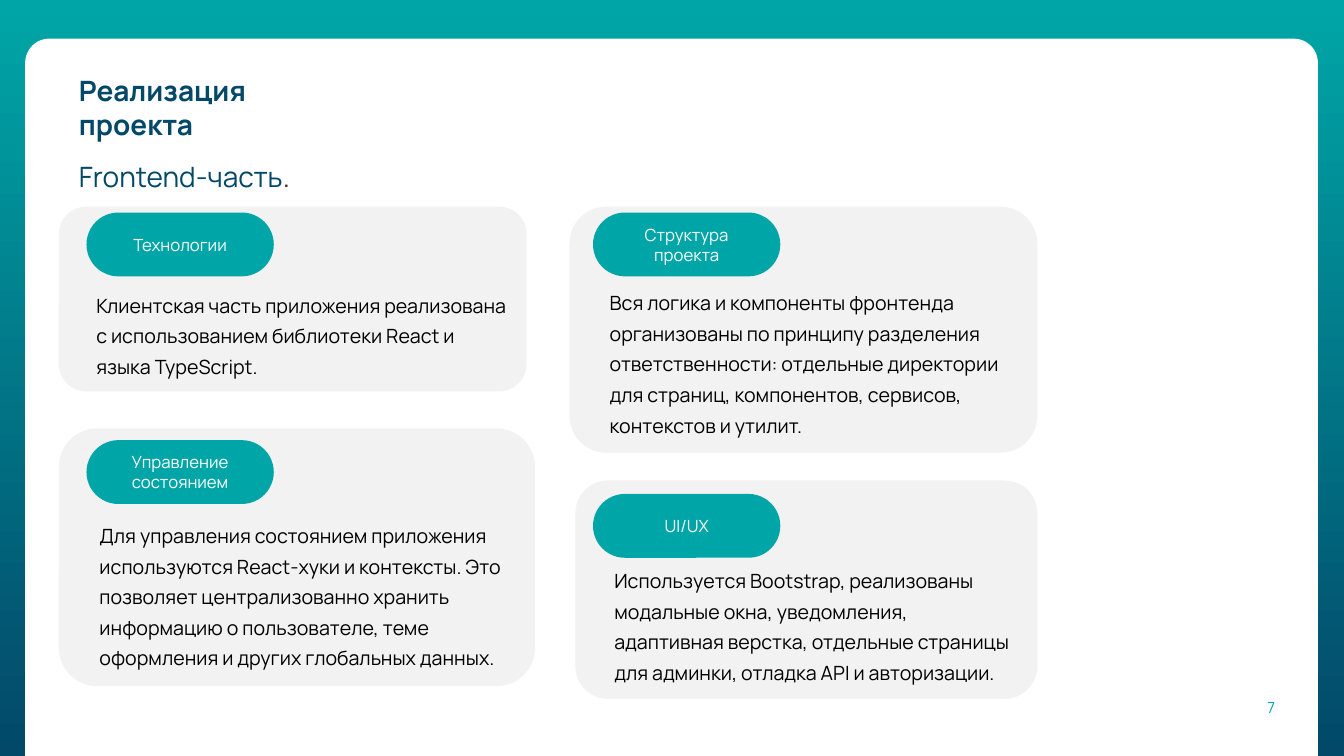
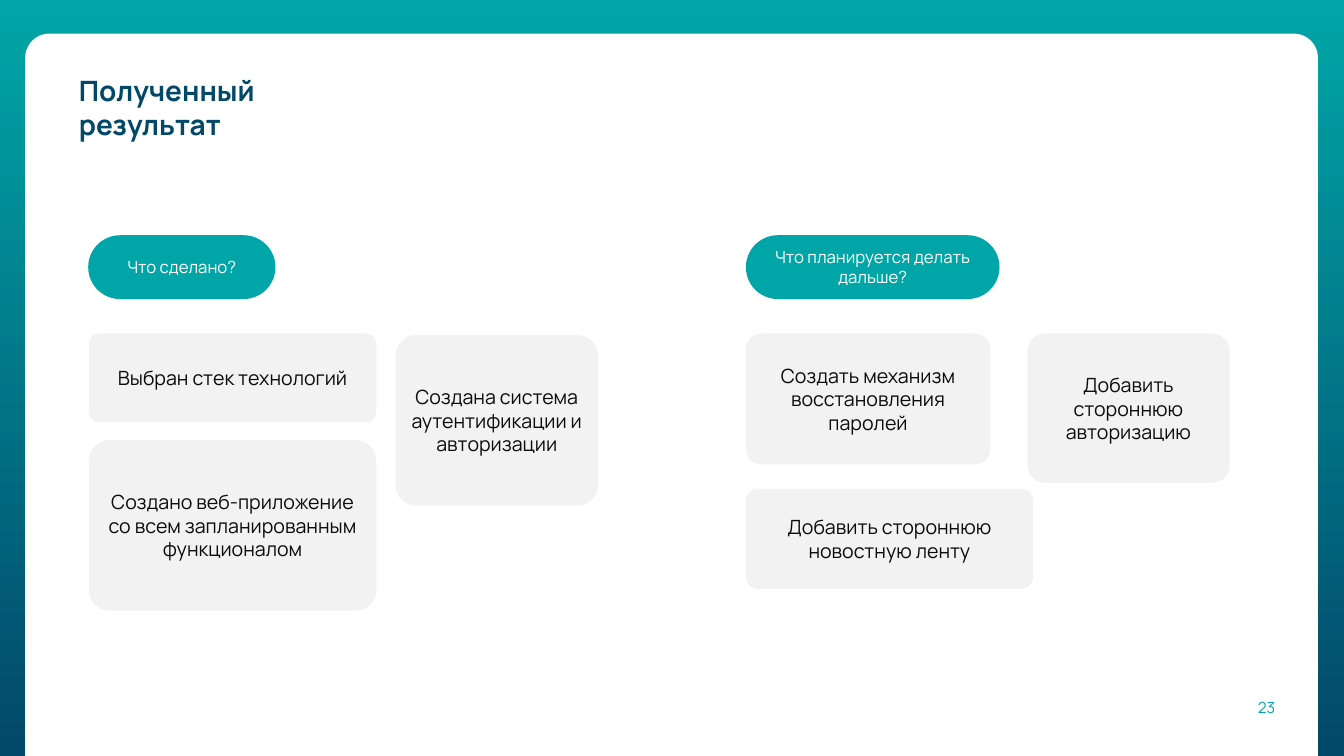
from dataclasses import dataclass

from pptx import Presentation
from pptx.dml.color import RGBColor
from pptx.enum.shapes import MSO_SHAPE
from pptx.enum.text import MSO_ANCHOR, PP_ALIGN
from pptx.util import Inches, Pt


@dataclass(frozen=True)
class Theme:
    """Colours, type sizes and corner roundings of the deck."""
    face: str = "Manrope"
    teal: str = "00A6A7"
    navy: str = "024869"
    white: str = "FFFFFF"
    grey: str = "F2F2F2"
    black: str = "000000"
    ink: str = "0C0C0C"
    dot: str = "333333"
    head: int = 20
    body: int = 14
    label: int = 12
    small: int = 11
    lead: float = 1.3
    panel: float = 0.03
    card: float = 0.15
    tile: float = 0.12
    pill: float = 0.5


class Deck:
    """Draws styled elements on a grid of 160 columns by 90 rows."""

    def __init__(self, theme):
        """Start an empty deck."""
        self.look = theme
        self.unit = Inches(1) // 12
        self.show = Presentation()
        self.show.slide_width = 160 * self.unit
        self.show.slide_height = 90 * self.unit
        self.page = None

    def grid(self, *cells):
        """Turn grid cells into lengths."""
        return [round(cell * self.unit) for cell in cells]

    def begin(self, title, number, top):
        """Add a slide with its backdrop, panel, title and number."""
        look = self.look
        self.page = self.show.slides.add_slide(self.show.slide_layouts[6])
        fill = self.page.background.fill
        fill.gradient()
        fill.gradient_angle = 270
        for stop, tint in zip(fill.gradient_stops, (look.teal, look.navy)):
            stop.color.rgb = RGBColor.from_string(tint)
        self.block((3, top, 153.9, 95.9), look.white, look.panel)
        self.label((8.2, 8.2, 35.6, 9), [(title, look.navy)], look.head, bold=True)
        self.label((117, 81.8, 36, 4.8), [(number, look.teal)], look.small,
                   {"vertical_anchor": MSO_ANCHOR.MIDDLE},
                   {"alignment": PP_ALIGN.RIGHT})

    def block(self, box, tint, curve):
        """Add a plain rounded block."""
        shape = self.page.shapes.add_shape(
            MSO_SHAPE.ROUNDED_RECTANGLE, *self.grid(*box))
        shape.adjustments[0] = curve
        shape.shadow.inherit = False
        shape.fill.solid()
        shape.fill.fore_color.rgb = RGBColor.from_string(tint)
        shape.line.fill.background()
        return shape

    def letter(self, shape, runs, size, frame=None, para=None, bold=False):
        """Fill a shape with one paragraph of coloured runs."""
        area = shape.text_frame
        line = area.paragraphs[0]
        formats = [
            (area, {"word_wrap": True, "vertical_anchor": MSO_ANCHOR.TOP,
                    **(frame or {})}),
            (line, {"alignment": PP_ALIGN.LEFT, **(para or {})}),
        ]
        for words, tint in runs:
            run = line.add_run()
            run.text = words
            run.font.color.rgb = RGBColor.from_string(tint)
            formats.append((run.font, {"name": self.look.face,
                                       "size": Pt(size), "bold": bold}))
        for item, values in formats:
            for name, value in values.items():
                setattr(item, name, value)

    def label(self, box, runs, size, frame=None, para=None, bold=False):
        """Add a text box."""
        shape = self.page.shapes.add_textbox(*self.grid(*box))
        self.letter(shape, runs, size, frame, para, bold)

    def lead(self, words):
        """Add the subtitle with its grey full stop."""
        look = self.look
        self.label((8.2, 17.2, 35.6, 6.5), [(words, look.navy), (".", look.dot)],
                   look.head, para={"line_spacing": look.lead})

    def center(self, shape, words, tint, size):
        """Set centred words in a block."""
        self.letter(shape, [(words, tint)], size,
                    {"vertical_anchor": MSO_ANCHOR.MIDDLE},
                    {"alignment": PP_ALIGN.CENTER})

    def pill(self, left, top, words, width=22.3):
        """Add a teal label."""
        look = self.look
        shape = self.block((left, top, width, 7.6), look.teal, look.pill)
        self.center(shape, words, look.white, look.label)

    def tile(self, box, words):
        """Add a grey tile with centred words."""
        look = self.look
        shape = self.block(box, look.grey, look.tile)
        self.center(shape, words, look.ink, look.body)

    def card(self, box, words):
        """Add a grey card with its text at the foot."""
        look = self.look
        shape = self.block(box, look.grey, look.card)
        self.letter(shape, [(words, look.black)], look.body,
                    {"vertical_anchor": MSO_ANCHOR.BOTTOM,
                     "margin_left": self.grid(3.5)[0]},
                    {"line_spacing": look.lead})


def build(deck):
    """Draw both slides."""
    deck.begin("Реализация проекта", "7", 4.6)
    deck.lead("Frontend-часть")
    left, right = 10.3, 70.6
    cards = [
        ((7, 24.6, 55.7, 22), left, 25.3, "Технологии",
         "Клиентская часть приложения реализована с использованием "
         "библиотеки React и языка TypeScript."),
        ((67.8, 24.6, 55.7, 29.3), right, 25.3, "Структура проекта",
         "Вся логика и компоненты фронтенда организованы по принципу "
         "разделения ответственности: отдельные директории для страниц, "
         "компонентов, сервисов, контекстов и утилит."),
        ((7, 51, 56.7, 30.7), left, 52.4, "Управление состоянием",
         "Для управления состоянием приложения используются React-хуки "
         "и контексты. Это позволяет централизованно хранить информацию "
         "о пользователе, теме оформления и других глобальных данных."),
        ((68.5, 57.2, 55, 26), right, 58.8, "UI/UX",
         "Используется Bootstrap, реализованы модальные окна, уведомления, "
         "адаптивная верстка, отдельные страницы для админки, отладка API "
         "и авторизации."),
    ]
    for box, side, top, label, words in cards:
        deck.card(box, words)
        deck.pill(side, top, label)

    deck.begin("Полученный результат", "23", 4)
    done, plan, top = 10.6, 88.8, 39.7
    wide, slim = 34.2, 24.1
    deck.pill(10.5, 28, "Что сделано?")
    deck.pill(plan, 28, "Что планируется делать дальше?", 30.2)
    tiles = [
        ((done, top, wide, 10.6), "Выбран стек технологий"),
        ((done, 52.4, wide, 20.3),
         "Создано веб-приложение со всем запланированным функционалом"),
        ((47.1, 39.9, slim, 20.3),
         "Создана система аутентификации и авторизации"),
        ((plan, top, 29.1, 15.6), "Создать механизм восстановления паролей"),
        ((plan, 58.2, wide, 11.9), "Добавить стороннюю новостную ленту"),
        ((122.3, top, slim, 17.8), "Добавить стороннюю авторизацию"),
    ]
    for box, words in tiles:
        deck.tile(box, words)


def main():
    """Build and save the deck."""
    deck = Deck(Theme())
    build(deck)
    deck.show.save("out.pptx")


if __name__ == "__main__":
    main()
